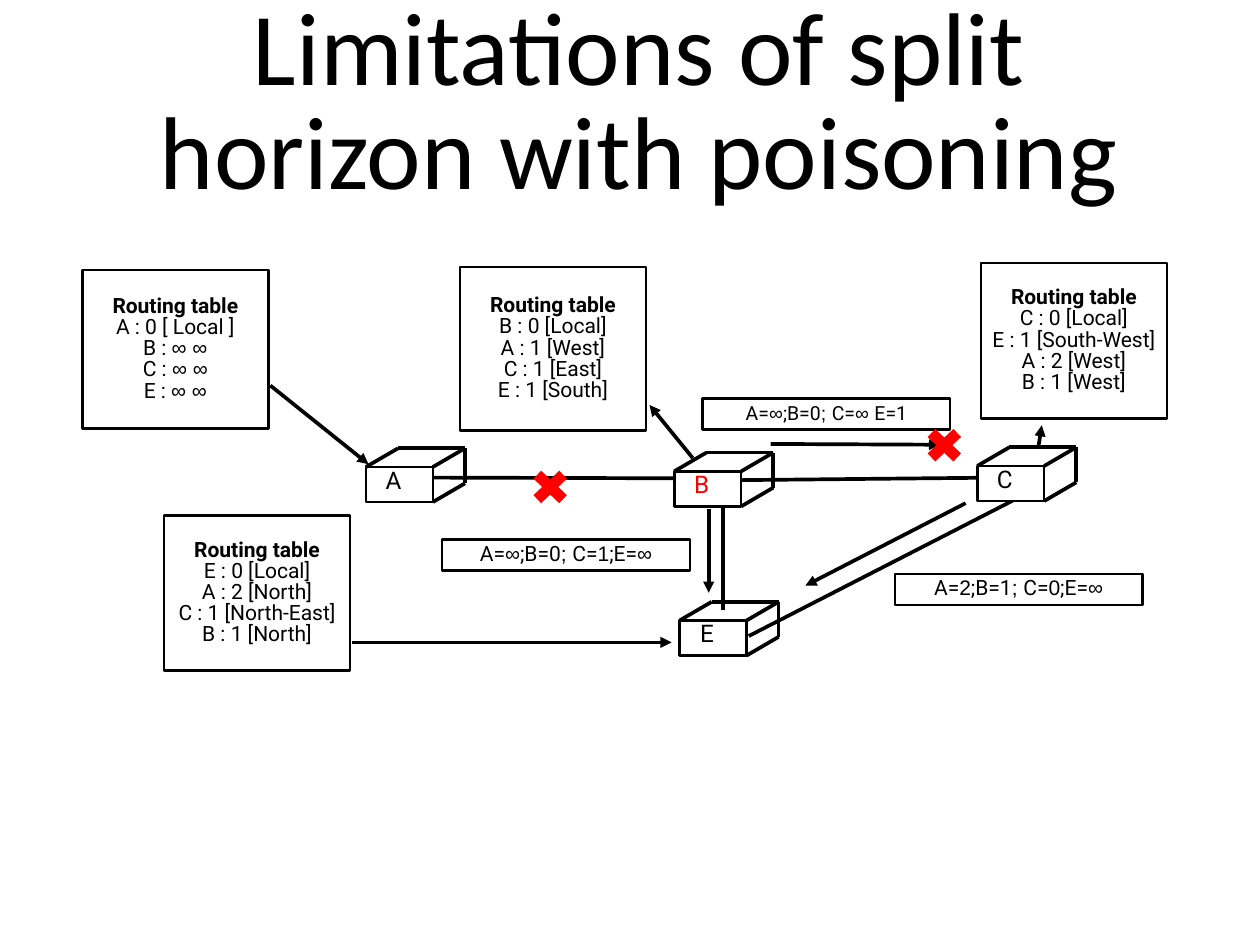
from pptx import Presentation
from pptx.dml.color import RGBColor
from pptx.enum.shapes import MSO_CONNECTOR as Connector, MSO_SHAPE as Shape
from pptx.enum.text import MSO_ANCHOR as Anchor, PP_ALIGN as Align
from pptx.oxml.ns import qn
from pptx.util import Inches, Pt
from lxml.etree import SubElement

WIDTH, HEIGHT = Inches(14.22), Inches(10.67)
COLUMNS, ROWS = 64, 48
BLACK, WHITE, RED = "000000", "FFFFFF", "FF0000"


def colour(code):
    return RGBColor.from_string(code)


class Diagram:
    """Draws on one page; all positions are in grid columns and rows."""
    font, symbol_font, title_font = "Roboto", "Arial", "Calibri"
    spacing, text_size = 0.84, 17.1
    outline, stroke = Pt(2), Pt(3)
    front = (3.4, 1.78)
    depth = (1.63, -0.95)

    def __init__(self, page):
        self.page = page

    def across(self, columns):
        return round(WIDTH * columns / COLUMNS)

    def down(self, rows):
        return round(HEIGHT * rows / ROWS)

    def area(self, left, top, width, height):
        return self.across(left), self.down(top), self.across(width), self.down(height)

    def set_text(self, box, lines, size, font=None, ink=BLACK, heading=False,
                 anchor=Anchor.MIDDLE, wrap=True, inset=0):
        """Fill a box; "|" switches between the text and the symbol font."""
        frame = box.text_frame
        frame.word_wrap, frame.vertical_anchor = wrap, anchor
        frame.margin_left = frame.margin_right = Inches(inset)
        frame.margin_top = frame.margin_bottom = Inches(inset)
        for number, line in enumerate(lines):
            para = frame.add_paragraph() if number else frame.paragraphs[0]
            para.alignment, para.line_spacing = Align.CENTER, self.spacing
            para.font.name, para.font.size = font or self.font, Pt(size)
            para.font.bold = heading and number == 0
            para.font.color.rgb = colour(ink)
            for position, text in enumerate(line.split("|")):
                span = para.add_run()
                span.text = text
                if position % 2:
                    span.font.name = self.symbol_font

    def title(self, text, *area):
        box = self.page.shapes.add_textbox(*self.area(*area))
        self.set_text(box, [text], 84, self.title_font, anchor=Anchor.BOTTOM, inset=0.06)

    def shape(self, kind, *area, fill=None, line=BLACK):
        shape = self.page.shapes.add_shape(kind, *self.area(*area))
        shape.shadow.inherit = False
        if fill:
            shape.fill.solid()
            shape.fill.fore_color.rgb = colour(fill)
        else:
            shape.fill.background()
        if line:
            shape.line.color.rgb = colour(line)
            shape.line.width = self.outline
        else:
            shape.line.fill.background()
        return shape

    def line(self, x1, y1, x2, y2, arrow=False):
        line = self.page.shapes.add_connector(
            Connector.STRAIGHT, self.across(x1), self.down(y1),
            self.across(x2), self.down(y2))
        line.line.color.rgb = colour(BLACK)
        line.line.width = self.stroke
        properties = line._element.spPr
        if arrow:
            SubElement(properties.find(qn("a:ln")), qn("a:tailEnd"), type="triangle")
        SubElement(properties, qn("a:effectLst"))

    def router(self, name, left, top, ink=BLACK):
        (width, height), (shift, rise) = self.front, self.depth
        self.shape(Shape.RECTANGLE, left, top, width, height, fill=WHITE)
        right, bottom = left + width, top + height
        # Slanted edges, then the rear top and side edges
        for x, y in ((left, top), (right, top), (right, bottom)):
            self.line(x, y, x + shift, y + rise)
        corner = (right + shift, top + rise)
        self.line(left + shift, top + rise, *corner)
        self.line(*corner, right + shift, bottom + rise)
        label = self.shape(Shape.RECTANGLE, left + 0.72, top + 0.1, 1.35, 1.33,
                           fill=WHITE, line=None)
        self.set_text(label, [name], 19.7, ink=ink, wrap=False)

    def routing_table(self, left, top, height, routes):
        box = self.shape(Shape.RECTANGLE, left, top, 9.45, height)
        self.set_text(box, ["Routing table", *routes], self.text_size, heading=True)

    def message(self, left, top, text, size=text_size):
        box = self.shape(Shape.RECTANGLE, left, top, 12.58, 1.58)
        self.set_text(box, [text], size)

    def cross(self, left, top):
        self.shape(Shape.MATH_MULTIPLY, left, top, 2.52, 2.39, fill=RED, line=None)


def main():
    deck = Presentation()
    deck.slide_width, deck.slide_height = WIDTH, HEIGHT
    diagram = Diagram(deck.slides.add_slide(deck.slide_layouts[6]))

    diagram.title("Limitations of split horizon with poisoning", 5, 3.15, 54.9, 7.8)

    # Links: A-B, B-E, E-C, B-C
    for link in ((21.78, 24.26, 36.05, 24.3), (36.72, 25.34, 36.72, 31),
                 (38.03, 32.31, 51.44, 25.43), (37.35, 24.39, 50.76, 24.26)):
        diagram.line(*link)

    # Routers
    diagram.router("A", 18.59, 23.72)
    diagram.router("B", 34.25, 23.94, ink=RED)
    diagram.router("C", 49.64, 23.67)
    diagram.router("E", 34.52, 31.52)

    # Routing tables
    diagram.routing_table(4.18, 13.72, 8.05, [
        "A : 0 [ Local ]", "B : |∞ ∞", "C : |∞ ∞", "E : |∞ ∞"])
    diagram.routing_table(23.36, 13.55, 8.33, [
        "B : 0 [Local]", "A : 1 [West]", "C : 1 [East]", "E : 1 [South]"])
    diagram.routing_table(49.82, 13.37, 7.88, [
        "C : 0 [Local]", "E : 1 [South-West]", "A : 2 [West]", "B : 1 [West]"])
    diagram.routing_table(8.33, 26.19, 7.88, [
        "E : 0 [Local]", "A : 2 [North]", "C : 1 [North-East]", "B : 1 [North]"])

    # Arrows between tables and routers, then along the links
    for arrow in ((13.73, 19.58, 18.72, 23.58), (35.19, 23.27, 32.99, 20.57),
                  (52.74, 22.73, 52.92, 21.6), (17.87, 32.63, 34.11, 32.63),
                  (49.05, 25.56, 40.91, 29.75), (36, 25.83, 36, 30.11),
                  (39.15, 22.55, 47.75, 22.59)):
        diagram.line(*arrow, arrow=True)

    # Distance vectors sent
    diagram.message(45.45, 29.16, "A=|2|;B=1|; |C=|0|;E=|∞")
    diagram.message(22.46, 27.41, "A=|∞|;B=0|; |C=|1|;E=|∞")
    diagram.message(35.69, 20.25, "A=|∞|;B=0|; |C=|∞ |E=1", size=15.8)

    # Failed link and lost message
    diagram.cross(26.69, 23.54)
    diagram.cross(46.71, 21.42)

    deck.save("out.pptx")


if __name__ == "__main__":
    main()
